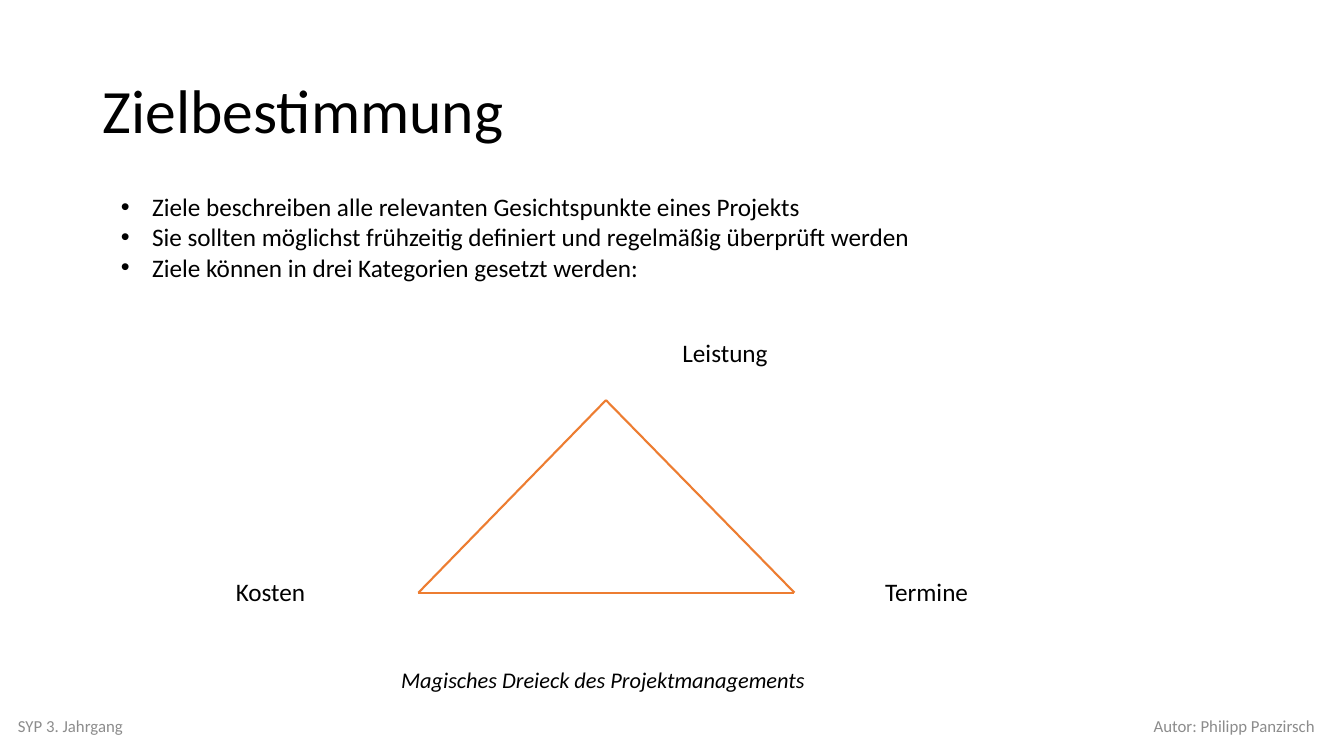
import itertools

import lxml.etree
import pptx
import pptx.dml.color
import pptx.enum.shapes
import pptx.enum.text
import pptx.oxml.ns
import pptx.util

Inches = pptx.util.Inches
Align = pptx.enum.text.PP_ALIGN
Anchor = pptx.enum.text.MSO_ANCHOR

FONT = "Calibri"
BLACK, GRAY, ORANGE = "000000", "8C8C8C", "ED7D31"
BULLET_INDENT = 0.31

TITLE = "Zielbestimmung"
TITLE_BOX = (0.92, 0.4, 11.5, 1.45)
GOALS = [
    "Ziele beschreiben alle relevanten Gesichtspunkte eines Projekts",
    "Sie sollten möglichst frühzeitig definiert und regelmäßig überprüft werden",
    "Ziele können in drei Kategorien gesetzt werden:",
]
GOALS_BOX = (1.1, 1.85, 11.32, 1.01)
FOOTERS = [
    ("SYP 3. Jahrgang", (0.08, 7, 4.5, 0.4), Align.LEFT),
    ("Autor: Philipp Panzirsch", (8.64, 7, 4.5, 0.4), Align.RIGHT),
]
CORNERS = [(6.01, 3.97), (4.15, 5.88), (7.88, 5.88)]
CATEGORIES = [
    ("Leistung", (6.67, 3.3, 1.06, 0.4)),
    ("Kosten", (2.24, 5.67, 0.9, 0.4)),
    ("Termine", (8.68, 5.67, 1.04, 0.4)),
]
CAPTION = "Magisches Dreieck des Projektmanagements"
CAPTION_BOX = (3.88, 6.56, 4.26, 0.37)


def color(value):
    return pptx.dml.color.RGBColor.from_string(value)


def add_element(parent, tag, **attributes):
    return lxml.etree.SubElement(parent, pptx.oxml.ns.qn(tag), **attributes)


def add_bullet(paragraph):
    properties = paragraph._p.get_or_add_pPr()
    indent = Inches(BULLET_INDENT)
    properties.set("marL", str(indent))
    properties.set("indent", str(-indent))
    add_element(properties, "a:buFont", typeface="Arial")
    add_element(properties, "a:buChar", char="•")


def fill_text(shape, lines, size, text_color=BLACK, alignment=Align.LEFT,
              anchor=Anchor.TOP, wrap=True, bullets=False, italic=False):
    frame = shape.text_frame
    frame.text = "\n".join(lines)
    frame.word_wrap = wrap
    frame.vertical_anchor = anchor
    for paragraph in frame.paragraphs:
        if bullets:
            add_bullet(paragraph)
        paragraph.alignment = alignment
        paragraph.font.name = FONT
        paragraph.font.size = pptx.util.Pt(size)
        paragraph.font.italic = italic
        paragraph.font.color.rgb = color(text_color)


def add_text(slide, box, lines, size, **options):
    shape = slide.shapes.add_textbox(*map(Inches, box))
    fill_text(shape, lines, size, **options)


def add_title(slide):
    title = slide.shapes.title
    title.left, title.top, title.width, title.height = map(Inches, TITLE_BOX)
    fill_text(title, [TITLE], 44, anchor=Anchor.MIDDLE)
    title.text_frame.paragraphs[0].line_spacing = 0.9


def add_side(slide, start, end):
    side = slide.shapes.add_connector(
        pptx.enum.shapes.MSO_CONNECTOR.STRAIGHT, *map(Inches, start + end))
    side.line.color.rgb = color(ORANGE)
    side.line.width = pptx.util.Pt(1.5)
    add_element(side._element.spPr, "a:effectLst")


def main():
    presentation = pptx.Presentation()
    presentation.slide_width = Inches(13.33)
    presentation.slide_height = Inches(7.5)
    slide = presentation.slides.add_slide(presentation.slide_layouts[5])

    add_title(slide)
    for text, box, alignment in FOOTERS:
        add_text(slide, box, [text], 12, text_color=GRAY,
                 alignment=alignment, anchor=Anchor.MIDDLE)
    add_text(slide, GOALS_BOX, GOALS, 18, bullets=True)
    for start, end in itertools.combinations(CORNERS, 2):
        add_side(slide, start, end)
    for text, box in CATEGORIES:
        add_text(slide, box, [text], 18, wrap=False)
    add_text(slide, CAPTION_BOX, [CAPTION], 16, wrap=False, italic=True)

    presentation.save("out.pptx")


if __name__ == "__main__":
    main()
